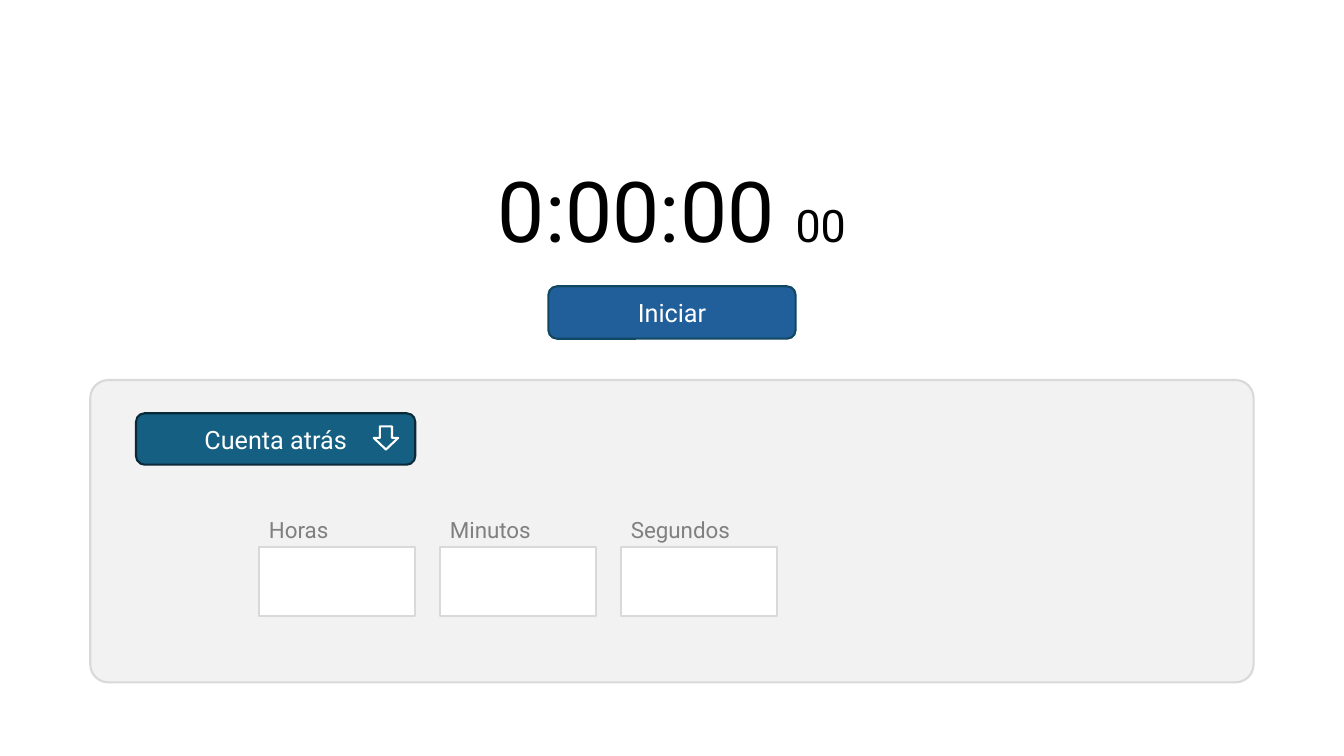
import pptx
import pptx.dml.color
import pptx.enum.shapes
import pptx.enum.text
import pptx.util

SHAPES = pptx.enum.shapes.MSO_SHAPE
ALIGN = pptx.enum.text.PP_ALIGN
ANCHOR = pptx.enum.text.MSO_ANCHOR
COLUMNS, ROWS = 160, 90
CELL = pptx.util.Inches(7.5) // ROWS
FONT = "Roboto"
COLORS = {
    "black": "000000",
    "white": "FFFFFF",
    "panel": "F2F2F2",
    "border": "D9D9D9",
    "label": "808080",
    "start": "215F9A",
    "start_edge": "104862",
    "mode": "156082",
    "mode_edge": "092A39",
}


def rgb(name):
    return pptx.dml.color.RGBColor.from_string(COLORS[name])


def cells(*counts):
    return [round(count * CELL) for count in counts]


def add_span(para, text, size, color):
    span = para.add_run()
    span.text = text
    span.font.name = FONT
    span.font.size = pptx.util.Pt(size)
    span.font.color.rgb = rgb(color)


def add_text(page, area, spans, color, align):
    box = page.shapes.add_textbox(*cells(*area))
    frame = box.text_frame
    frame.word_wrap = True
    frame.auto_size = pptx.enum.text.MSO_AUTO_SIZE.SHAPE_TO_FIT_TEXT
    para = frame.paragraphs[0]
    para.alignment = align
    for text, size in spans:
        add_span(para, text, size, color)


def add_block(page, kind, area, fill, edge):
    block = page.shapes.add_shape(kind, *cells(*area))
    block.shadow.inherit = False
    block.fill.solid()
    block.fill.fore_color.rgb = rgb(fill)
    block.line.color.rgb = rgb(edge)
    block.line.width = pptx.util.Pt(1.5)
    return block


def add_button(page, area, text, fill, edge):
    button = add_block(page, SHAPES.ROUNDED_RECTANGLE, area, fill, edge)
    frame = button.text_frame
    frame.word_wrap = True
    frame.vertical_anchor = ANCHOR.MIDDLE
    para = frame.paragraphs[0]
    para.alignment = ALIGN.CENTER
    add_span(para, text, 18, "white")


def add_field(page, left, label):
    add_block(page, SHAPES.RECTANGLE, (left, 65.16, 18.6, 8.16), "white", "border")
    add_text(page, (left, 60.84, 18.5, 4.44), [(label, 16)], "label", ALIGN.LEFT)


def main():
    deck = pptx.Presentation()
    deck.slide_width, deck.slide_height = cells(COLUMNS, ROWS)
    page = deck.slides.add_slide(deck.slide_layouts[6])

    add_text(page, (56.5, 18.24, 47, 13.32), [("0:00:00 ", 60), ("00", 32)],
             "black", ALIGN.CENTER)
    panel = add_block(page, SHAPES.ROUNDED_RECTANGLE, (10.75, 45.24, 138.5, 36),
                      "panel", "border")
    panel.adjustments[0] = 0.06
    add_button(page, (65.28, 34.08, 29.44, 6.24), "Iniciar", "start", "start_edge")
    add_button(page, (16.2, 49.2, 33.24, 6.12), "Cuenta atrás", "mode", "mode_edge")
    add_block(page, SHAPES.DOWN_ARROW, (44.5, 50.76, 2.9, 2.76), "mode", "white")

    for index, label in enumerate(("Horas", "Minutos", "Segundos")):
        add_field(page, 30.84 + 21.54 * index, label)

    deck.save("out.pptx")


if __name__ == "__main__":
    main()
